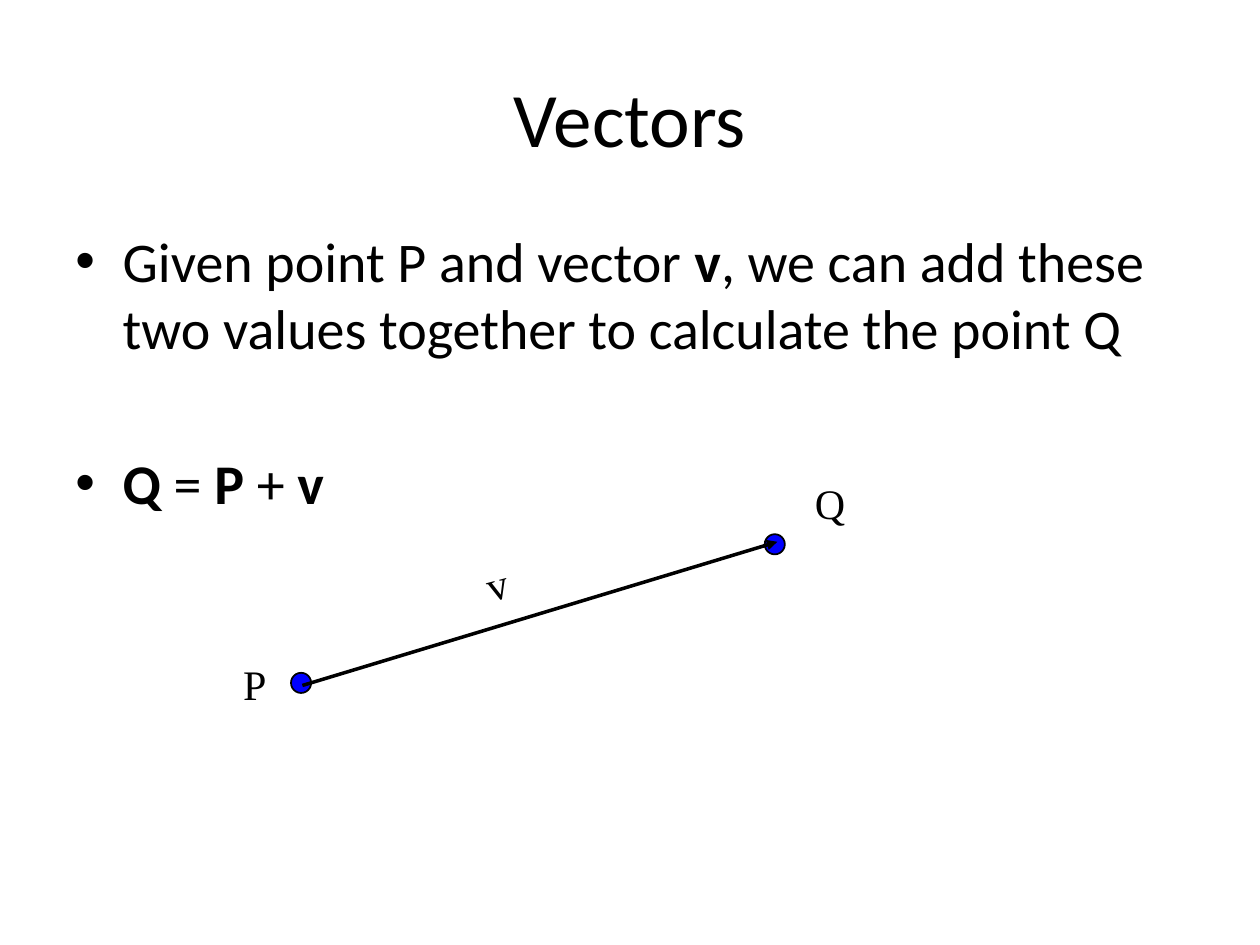
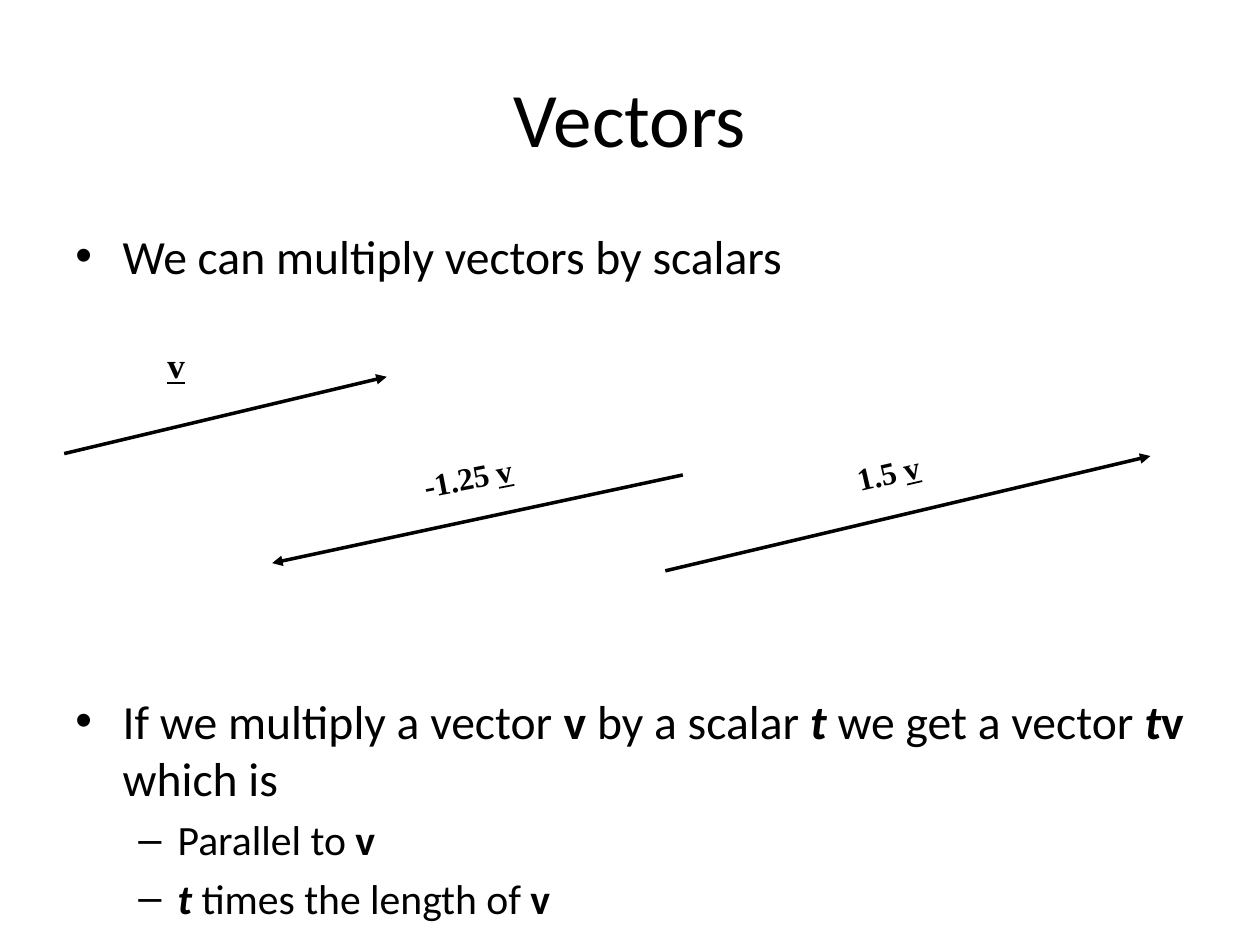
"""Build two slides on adding and scaling vectors."""
from dataclasses import dataclass

from lxml.etree import SubElement
from pptx import Presentation
from pptx.dml.color import RGBColor as Rgb
from pptx.enum.shapes import MSO_CONNECTOR as Link, MSO_SHAPE as Form
from pptx.enum.text import MSO_ANCHOR as Anchor, MSO_AUTO_SIZE as Fit, PP_ALIGN as Align
from pptx.oxml.ns import qn
from pptx.slide import Slide
from pptx.util import Pt

COLORS = {"ink": "000000", "dot": "0000FF", "page": "FFFFFF"}
SANS, SERIF = "Calibri", "Times New Roman"
LEFT, WIDTH = 36, 648
DOT = 11.5


@dataclass(frozen=True)
class Bit:
    text: str
    style: str = ""


@dataclass(frozen=True)
class Item:
    bits: tuple[Bit, ...]
    size: float
    gap: float
    mark: str = "•"
    inset: float = 27
    hang: float = 27


@dataclass(frozen=True)
class Arrow:
    start: tuple[float, float]
    end: tuple[float, float]


@dataclass(frozen=True)
class Label:
    bits: tuple[Bit, ...]
    box: tuple[float, float, float, float]
    size: float
    bold: bool = False
    turn: float = 0


def color(name: str) -> Rgb:
    return Rgb.from_string(COLORS[name])


def write(para, bits: tuple[Bit, ...], face: str, size: float, bold: bool = False) -> None:
    font = para.font
    font.name, font.size, font.bold = face, Pt(size), bold
    font.color.rgb = color("ink")
    for bit in bits:
        run = para.add_run()
        run.text = bit.text
        if "b" in bit.style:
            run.font.bold = True
        if "i" in bit.style:
            run.font.italic = True
        if "u" in bit.style:
            run.font.underline = True


def add_title(slide: Slide, text: str) -> None:
    frame = slide.shapes.add_textbox(Pt(LEFT), Pt(21.6), Pt(WIDTH), Pt(90)).text_frame
    frame.word_wrap = True
    frame.vertical_anchor = Anchor.MIDDLE
    para = frame.paragraphs[0]
    para.alignment = Align.CENTER
    write(para, (Bit(text),), SANS, 44)


def add_list(slide: Slide, items: list[Item]) -> None:
    frame = slide.shapes.add_textbox(Pt(LEFT), Pt(126), Pt(WIDTH), Pt(356.4)).text_frame
    frame.word_wrap = True
    for spot, item in enumerate(items):
        para = frame.add_paragraph() if spot else frame.paragraphs[0]
        para.space_before = Pt(item.gap)
        props = para._p.get_or_add_pPr()
        props.set("marL", str(Pt(item.inset)))
        props.set("indent", str(-Pt(item.hang)))
        SubElement(props, qn("a:buFont"), typeface="Arial")
        SubElement(props, qn("a:buChar"), char=item.mark)
        write(para, item.bits, SANS, item.size)


def add_dot(slide: Slide, left: float, top: float) -> None:
    dot = slide.shapes.add_shape(Form.OVAL, Pt(left), Pt(top), Pt(DOT), Pt(DOT))
    dot.shadow.inherit = False
    dot.fill.solid()
    dot.fill.fore_color.rgb = color("dot")
    dot.line.color.rgb = color("ink")
    dot.line.width = Pt(1)


def add_arrow(slide: Slide, arrow: Arrow) -> None:
    ends = [Pt(value) for value in arrow.start + arrow.end]
    link = slide.shapes.add_connector(Link.STRAIGHT, *ends)
    link.line.color.rgb = color("ink")
    link.line.width = Pt(2)
    SubElement(link.line._get_or_add_ln(), qn("a:tailEnd"), type="triangle")
    SubElement(link._element.spPr, qn("a:effectLst"))


def add_label(slide: Slide, label: Label) -> None:
    box = slide.shapes.add_textbox(*(Pt(value) for value in label.box))
    box.rotation = label.turn
    frame = box.text_frame
    frame.word_wrap = False
    frame.auto_size = Fit.SHAPE_TO_FIT_TEXT
    write(frame.paragraphs[0], label.bits, SERIF, label.size, label.bold)


def add_page(deck, items: list[Item], dots: list[tuple[float, float]],
             arrows: list[Arrow], labels: list[Label]) -> None:
    slide = deck.slides.add_slide(deck.slide_layouts[6])
    slide.background.fill.solid()
    slide.background.fill.fore_color.rgb = color("page")
    add_title(slide, "Vectors")
    add_list(slide, items)
    for dot in dots:
        add_dot(slide, *dot)
    for arrow in arrows:
        add_arrow(slide, arrow)
    for label in labels:
        add_label(slide, label)


def main() -> None:
    deck = Presentation()
    deck.slide_width, deck.slide_height = Pt(720), Pt(540)
    bold_v, bold_t, line_v = Bit("v", "b"), Bit("t", "bi"), Bit("v", "u")
    dash = {"size": 23.8, "gap": 4.7, "mark": "–", "inset": 58.5, "hang": 22.5}

    add_page(
        deck,
        [
            Item((Bit("Given point P and vector "), bold_v,
                  Bit(", we can add these two values together to calculate the point Q")), 32, 1.5),
            Item((Bit("Q", "b"), Bit(" = "), Bit("P", "b"), Bit(" + "), bold_v), 32, 50),
        ],
        [(166.3, 384.5), (437, 305.3)],
        [Arrow((172.8, 391.7), (444.2, 309.6))],
        [
            Label((Bit("P"),), (131.8, 373, 27.4, 36), 24),
            Label((Bit("Q"),), (458.6, 269.3, 31.7, 36), 24),
            Label((Bit("v"),), (270.7, 315.4, 26.6, 36), 24, turn=345),
        ],
    )
    add_page(
        deck,
        [
            Item((Bit("We can multiply vectors by scalars"),), 27.2, 1.5),
            Item((Bit("If we multiply a vector "), bold_v, Bit(" by a scalar "), bold_t,
                  Bit(" we get a vector "), bold_t, bold_v, Bit(" which is")), 27.2, 233),
            Item((Bit("Parallel to "), bold_v), **dash),
            Item((bold_t, Bit(" times the length of "), bold_v), **dash),
        ],
        [],
        [
            Arrow((36.7, 259.2), (221, 215.3)),
            Arrow((390.2, 271.4), (155.5, 321.8)),
            Arrow((380.2, 326.2), (657.4, 260.6)),
        ],
        [
            Label((line_v,), (88.6, 193, 25.2, 31), 20, True),
            Label((Bit("-1.25 "), line_v), (234.7, 258.5, 65.5, 28.8), 18, True, 349),
            Label((Bit("1.5 "), line_v), (482.4, 255.6, 50.4, 28.8), 18, True, 347),
        ],
    )
    deck.save("out.pptx")


if __name__ == "__main__":
    main()
